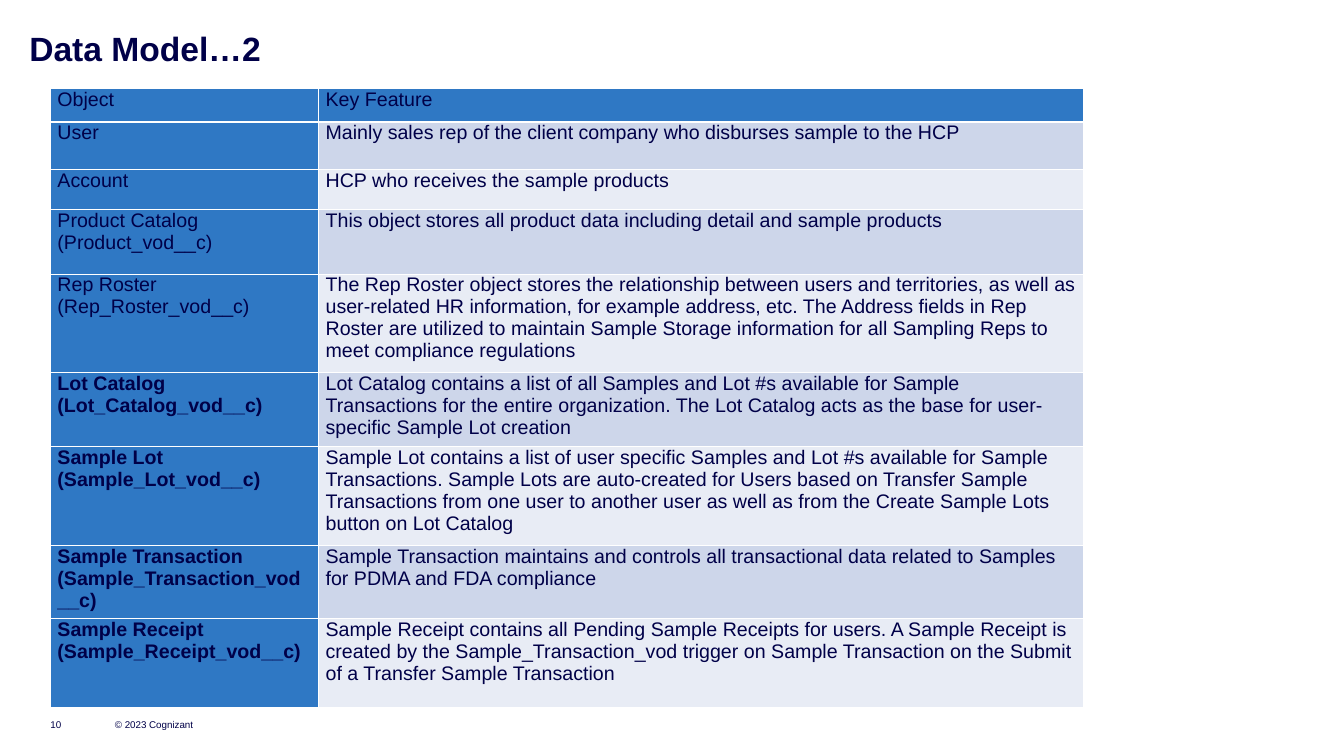
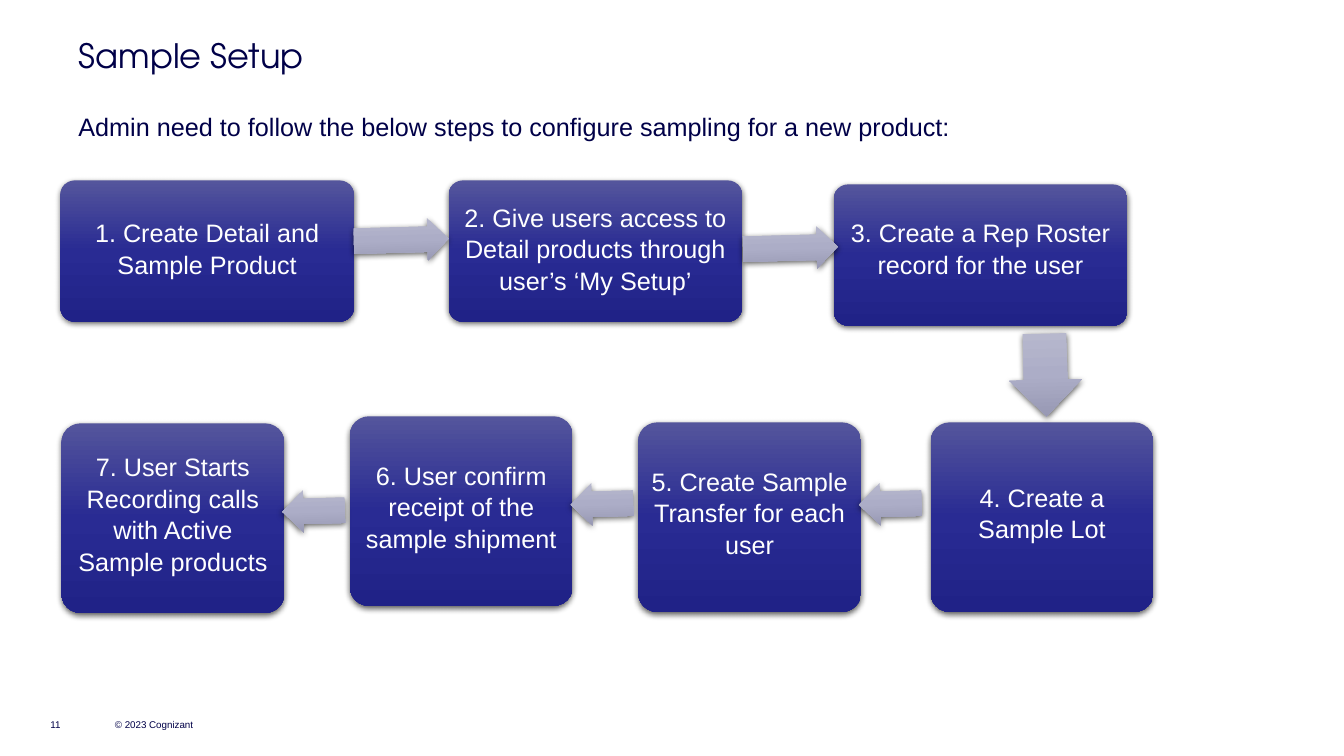
from lxml import etree
from pptx import Presentation
from pptx.dml.color import RGBColor
from pptx.enum import shapes, text
from pptx.oxml.ns import qn
from pptx.util import Inches, Pt

# Shared style
NAVY, WHITE, BLUE = "000048", "FFFFFF", "2F78C4"
BANDS = ("CDD6EA", "E8ECF5")
BOX_GRADIENT = ((0, "54559C"), (50, "292B93"), (100, "202287"))
ARROW_GRADIENT = ((0, "B7B8CD"), (50, "ACADC7"), (100, "9798B3"))
SANS, DISPLAY = "Arial", "TeX Gyre Adventor"
TOP, MIDDLE, BOTTOM = (text.MSO_ANCHOR.TOP, text.MSO_ANCHOR.MIDDLE,
                       text.MSO_ANCHOR.BOTTOM)
SHAPE = shapes.MSO_SHAPE
COPYRIGHT = "© 2023 Cognizant"

# Data model: object, key feature, row height, bold object name
COLUMNS = (2.66, 7.59)
MODEL = [
    ("Object", "Key Feature", 0.33, False),
    ("User", "Mainly sales rep of the client company who disburses sample "
     "to the HCP", 0.47, False),
    ("Account", "HCP who receives the sample products", 0.4, False),
    ("Product Catalog (Product_vod__c)", "This object stores all product "
     "data including detail and sample products", 0.64, False),
    ("Rep Roster (Rep_Roster_vod__c)", "The Rep Roster object stores the "
     "relationship between users and territories, as well as user-related HR "
     "information, for example address, etc. The Address fields in Rep Roster "
     "are utilized to maintain Sample Storage information for all Sampling "
     "Reps to meet compliance regulations", 0.98, False),
    ("Lot Catalog (Lot_Catalog_vod__c)", "Lot Catalog contains a list of all "
     "Samples and Lot #s available for Sample Transactions for the entire "
     "organization. The Lot Catalog acts as the base for user-specific Sample "
     "Lot creation", 0.73, True),
    ("Sample Lot (Sample_Lot_vod__c)", "Sample Lot contains a list of user "
     "specific Samples and Lot #s available for Sample Transactions. Sample "
     "Lots are auto-created for Users based on Transfer Sample Transactions "
     "from one user to another user as well as from the Create Sample Lots "
     "button on Lot Catalog", 0.98, True),
    ("Sample Transaction (Sample_Transaction_vod__c)", "Sample Transaction "
     "maintains and controls all transactional data related to Samples for "
     "PDMA and FDA compliance", 0.73, True),
    ("Sample Receipt (Sample_Receipt_vod__c)", "Sample Receipt contains all "
     "Pending Sample Receipts for users. A Sample Receipt is created by the "
     "Sample_Transaction_vod trigger on Sample Transaction on the Submit of a "
     "Transfer Sample Transaction", 0.88, True),
]

# Setup flow: box size and text height per row, then left, top, text top, text
INTRO = ("Admin need to follow the below steps to configure sampling "
         "for a new product:")
STEP_ROWS = [
    ((2.91, 1.4, 1.29), [
        (0.6, 1.79, 1.79, "1. Create Detail and\nSample Product"),
        (4.45, 1.79, 1.79,
         "2. Give users access to Detail products through user’s ‘My Setup’"),
        (8.27, 1.83, 1.79, "3. Create a Rep Roster record for the user")]),
    ((2.21, 1.88, 1.73), [
        (9.23, 4.19, 4.19, "4. Create a Sample Lot"),
        (6.33, 4.19, 4.19, "5. Create Sample Transfer for each user"),
        (3.47, 4.13, 4.13, "6. User confirm receipt of the sample shipment"),
        (0.61, 4.2, 4.2,
         "7. User Starts Recording calls with Active Sample products")]),
]
# Arrow kind, size, places
ARROWS = [
    (SHAPE.RIGHT_ARROW, (0.94, 0.42), [(3.51, 2.17), (7.37, 2.25)]),
    (SHAPE.DOWN_ARROW, (0.72, 0.82), [(10.01, 3.31)]),
    (SHAPE.LEFT_ARROW, (0.62, 0.42),
     [(8.52, 4.79), (5.66, 4.79), (2.8, 4.86)]),
]


def rgb(hex_color):
    return RGBColor.from_string(hex_color)


def inches(*values):
    return [Inches(v) for v in values]


def write(tf, content, size, color=NAVY, name=SANS, bold=False, align=None,
          spacing=None):
    tf.text = content
    for p in tf.paragraphs:
        p.alignment, p.line_spacing = align, spacing
        formats = {"size": Pt(size), "name": name, "bold": bold}
        for key, value in formats.items():
            setattr(p.runs[0].font, key, value)
        p.runs[0].font.color.rgb = rgb(color)


def set_frame(tf, margins, anchor, wrap=True):
    tf.word_wrap, tf.vertical_anchor = wrap, anchor
    for side, value in zip(("left", "top", "right", "bottom"), margins):
        setattr(tf, "margin_" + side, Inches(value))


def add_text(s, at, content, size, anchor=TOP, margins=(0, 0, 0, 0),
             wrap=True, **style):
    tf = s.shapes.add_textbox(*inches(*at)).text_frame
    set_frame(tf, margins, anchor, wrap)
    write(tf, content, size, **style)


def new_slide(prs, number):
    s = prs.slides.add_slide(prs.slide_layouts[6])
    for left, width, content in ((1.14, 1.31, COPYRIGHT),
                                 (0.5, 0.39, str(number))):
        add_text(s, (left, 6.85, width, 0.4), content, 7, BOTTOM, wrap=False)
    return s


def sub(parent, tag, **attributes):
    return etree.SubElement(parent, qn(tag), attributes)


def add_glossy(s, kind, at, stops, adjustments):
    """Preset shape with a vertical gradient and a soft shadow."""
    sp = s.shapes.add_shape(kind, *inches(*at))
    for i, value in enumerate(adjustments):
        sp.adjustments[i] = value
    sp.line.fill.background()
    sp.fill.gradient()
    sp.fill.gradient_angle = 270
    stop_list = sp._element.spPr.find(".//" + qn("a:gsLst"))
    for old in list(stop_list):
        stop_list.remove(old)
    for position, color in stops:
        stop = sub(stop_list, "a:gs", pos=str(position * 1000))
        sub(stop, "a:srgbClr", val=color)
    sp.shadow.inherit = False
    effects = sp._element.spPr.find(qn("a:effectLst"))
    shadow = sub(effects, "a:outerShdw", blurRad=str(Pt(4.5)),
                 dist=str(Pt(1.5)), dir="5400000", rotWithShape="0")
    sub(sub(shadow, "a:srgbClr", val="000000"), "a:alpha", val="63000")
    return sp


def set_borders(cell):
    tc_pr = cell._tc.get_or_add_tcPr()
    for i, side in enumerate(("lnL", "lnR", "lnT", "lnB")):
        ln = etree.Element(qn("a:" + side), w=str(Pt(1)))
        sub(sub(ln, "a:solidFill"), "a:srgbClr", val=WHITE)
        tc_pr.insert(i, ln)


def data_model(prs):
    s = new_slide(prs, 10)
    add_text(s, (0.29, 0.28, 11.82, 0.4), "Data Model…2", 24, bold=True)
    heights = [row[2] for row in MODEL]
    table = s.shapes.add_table(
        len(MODEL), len(COLUMNS),
        *inches(0.5, 0.88, sum(COLUMNS), sum(heights))).table
    for column, width in zip(table.columns, COLUMNS):
        column.width = Inches(width)
    for r, (name, feature, height, bold) in enumerate(MODEL):
        table.rows[r].height = Inches(height)
        for c, content in enumerate((name, feature)):
            cell = table.cell(r, c)
            for side, value in (("left", 0.07), ("right", 0.07),
                                ("top", 0), ("bottom", 0)):
                setattr(cell, "margin_" + side, Inches(value))
            write(cell.text_frame, content, 14, bold=bold and c == 0)
            cell.fill.solid()
            plain = r == 0 or c == 0
            cell.fill.fore_color.rgb = rgb(BLUE if plain else BANDS[(r - 1) % 2])
            set_borders(cell)


def sample_setup(prs):
    s = new_slide(prs, 11)
    margins = (0.1, 0.05, 0.1, 0.05)
    add_text(s, (0.68, 0.04, 10.43, 1.01), "Sample Setup", 24, MIDDLE,
             margins, name=DISPLAY)
    add_text(s, (0.68, 1.05, 12, 0.45), INTRO, 18, TOP, margins)

    # Step boxes
    for (width, height, text_height), steps in STEP_ROWS:
        corner = 0.03 * height  # space the rounded corners already take
        side = 0.11 - corner
        for left, top, text_top, content in steps:
            sp = add_glossy(s, SHAPE.ROUNDED_RECTANGLE,
                            (left, top, width, height), BOX_GRADIENT, [0.1])
            above = text_top - top + side
            below = top + height - text_top - text_height + 0.06 - corner
            set_frame(sp.text_frame, (side, above, side, below), MIDDLE)
            write(sp.text_frame, content, 18, WHITE,
                  align=text.PP_ALIGN.CENTER, spacing=1.05)

    # Arrows between the steps
    for kind, size, places in ARROWS:
        for place in places:
            arrow = add_glossy(s, kind, place + size, ARROW_GRADIENT,
                               [0.6, 0.5])
            arrow.rotation = 358.5


def main():
    prs = Presentation()
    prs.slide_width, prs.slide_height = inches(13.33, 7.5)
    data_model(prs)
    sample_setup(prs)
    prs.save("out.pptx")


if __name__ == "__main__":
    main()
